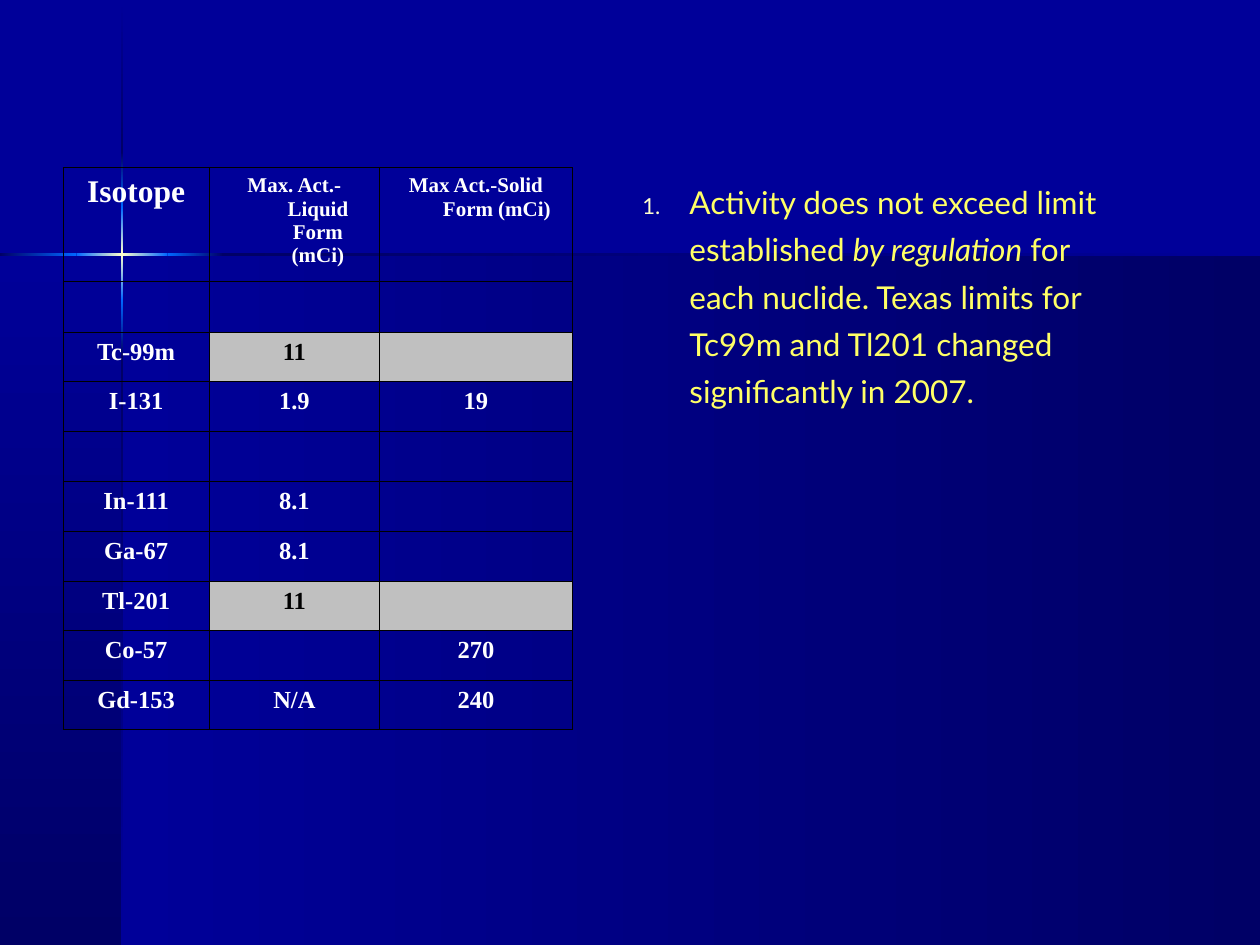
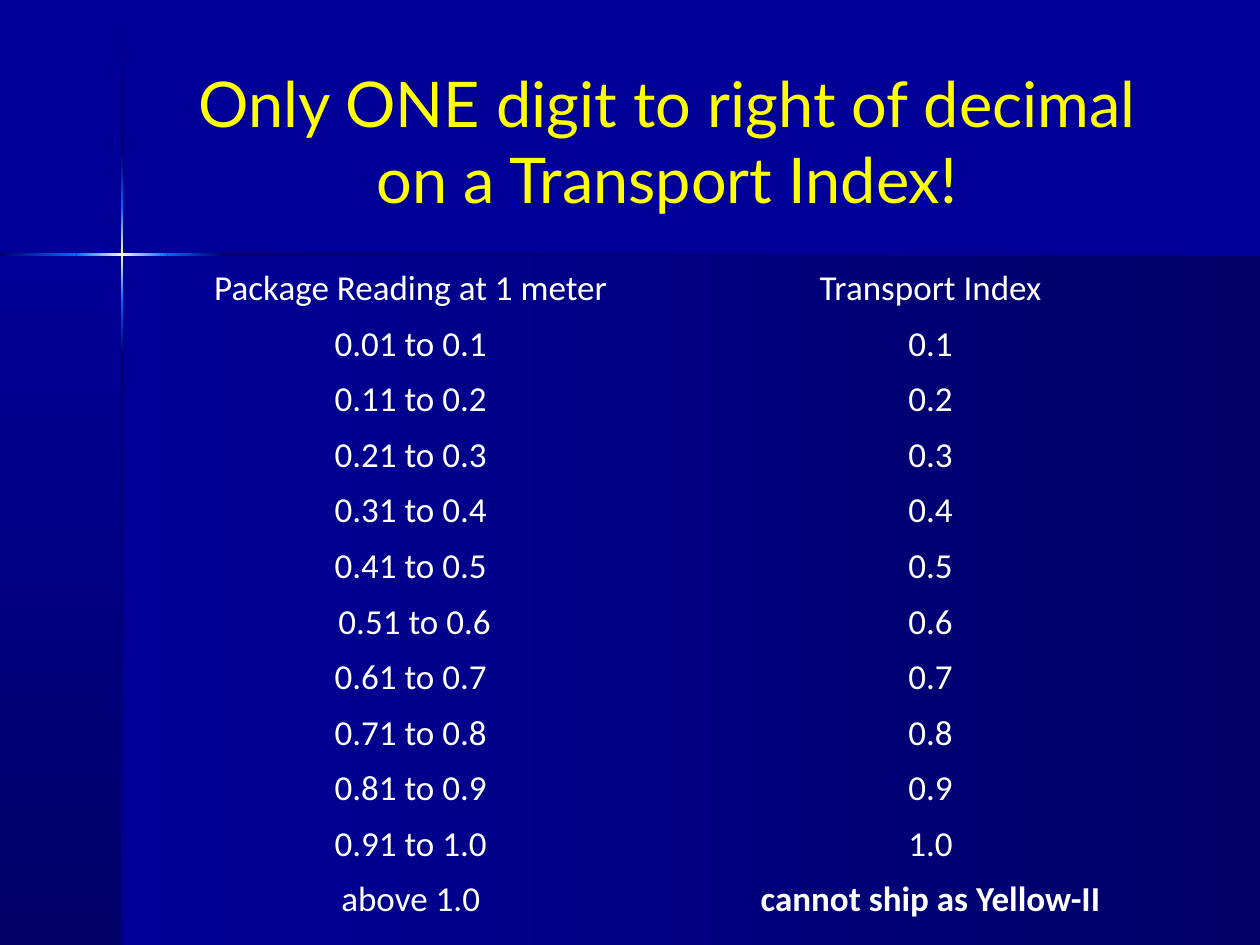
from dataclasses import dataclass
from itertools import pairwise

from lxml.etree import SubElement
from pptx import Presentation
from pptx.dml.color import RGBColor
from pptx.enum.shapes import MSO_SHAPE
from pptx.enum.text import MSO_ANCHOR, PP_ALIGN
from pptx.oxml import parse_xml
from pptx.oxml.ns import nsdecls, qn
from pptx.util import Cm, Pt

# Content
LIMITS = [
    ("Isotope", "Max. Act.-Liquid Form (mCi)", "Max Act.-Solid Form (mCi) "),
    ("", "", ""),
    ("Tc-99m", "11", ""),
    ("I-131", "1.9", "19"),
    ("", "", ""),
    ("In-111", "8.1", ""),
    ("Ga-67", "8.1", ""),
    ("Tl-201", "11", ""),
    ("Co-57", "", "270"),
    ("Gd-153", "N/A", "240"),
]
CHANGED = ("Tc-99m", "Tl-201")
JOINED = "Tc-99m"  # its two grey cells have no line between them
RULE = [
    ("Activity does not exceed limit established ", False),
    ("by regulation", True),
    (" for each nuclide. Texas limits for Tc99m and Tl201 changed "
     "significantly in 2007.", False),
]
TITLE = "Only ONE digit to right of decimal on a Transport Index!"
INDEX = [
    ("Package Reading at 1 meter", "Transport Index"),
    ("0.01 to 0.1", "0.1"),
    ("0.11 to 0.2", "0.2"),
    ("0.21 to 0.3", "0.3"),
    ("0.31 to 0.4", "0.4"),
    ("0.41 to 0.5", "0.5"),
    (" 0.51 to 0.6", "0.6"),
    ("0.61 to 0.7", "0.7"),
    ("0.71 to 0.8", "0.8"),
    ("0.81 to 0.9", "0.9"),
    ("0.91 to 1.0", "1.0"),
    ("above 1.0", "cannot ship as Yellow-II"),
]


@dataclass(frozen=True)
class Theme:
    navy: str = "000099"
    night: str = "000066"
    glow: str = "0066FF"
    spark: str = "FFFFCC"
    white: str = "FFFFFF"
    black: str = "000000"
    grey: str = "C0C0C0"
    title: str = "FFFF00"
    body: str = "FFFF66"
    sans: str = "Lato"
    serif: str = "Times New Roman"
    grid: str = "Calibri"
    head_size: int = 36
    body_size: int = 18
    first_size: int = 18
    label_size: int = 12
    cell_size: int = 14
    index_size: int = 20


T = Theme()
WIDE, HIGH = 25.4, 19.05
CROSS_X, CROSS_Y, RAY = 2.46, 5.13, 0.05
INDENT = 0.95
PLAIN = "{2D5ABB26-0587-4C30-8999-92F81FD0307C}"  # no style, no grid

# Each ray is cut at these points; a cut piece fades through its colours
FADES = [(T.navy, T.night), (T.night, T.glow), (T.glow, T.spark, T.glow),
         (T.glow, T.night), (T.night, T.navy)]
DOWN = [0.03, 3.07, 4.19, 6.05, 7.16, HIGH]
ACROSS = [0, 1.54, 3.38, 4.5, WIDE]


def style(run, font, size, color, bold=False, italic=False):
    run.font.name, run.font.size = font, Pt(size)
    run.font.bold, run.font.italic = bold, italic
    run.font.color.rgb = RGBColor.from_string(color)


def band(slide, box, colors, angle):
    shape = slide.shapes.add_shape(MSO_SHAPE.RECTANGLE, *map(Cm, box))
    shape.shadow.inherit = False
    shape.line.fill.background()
    step = 100000 // (len(colors) - 1)
    stops = "".join(f'<a:gs pos="{i * step}"><a:srgbClr val="{c}"/></a:gs>'
                    for i, c in enumerate(colors))
    grad = parse_xml(f'<a:gradFill {nsdecls("a")}><a:gsLst>{stops}</a:gsLst>'
                     f'<a:lin ang="{angle * 60000}" scaled="0"/></a:gradFill>')
    shape.element.spPr.find(qn("a:prstGeom")).addnext(grad)


def base(deck):
    """Add a slide with the shared panels and crossing rays."""
    slide = deck.slides.add_slide(deck.slide_layouts[6])
    fill = slide.background.fill
    fill.solid()
    fill.fore_color.rgb = RGBColor.from_string(T.navy)
    deep = (T.navy, T.night)
    tall = HIGH - CROSS_Y
    band(slide, (CROSS_X, CROSS_Y, WIDE - CROSS_X, tall), deep, 0)
    band(slide, (0, CROSS_Y, CROSS_X, tall), deep, 90)
    for (top, end), fade in zip(pairwise(DOWN), FADES):
        band(slide, (CROSS_X - RAY / 2, top, RAY, end - top), fade, 90)
    for (left, end), fade in zip(pairwise(ACROSS), FADES[1:]):
        band(slide, (left, CROSS_Y - RAY / 2, end - left, RAY), fade, 0)
    return slide


def textbox(slide, box):
    frame = slide.shapes.add_textbox(*map(Cm, box)).text_frame
    frame.word_wrap = True
    return frame


def hang(para):
    props = para._p.get_or_add_pPr()
    props.set("marL", str(Cm(INDENT)))
    props.set("indent", str(-Cm(INDENT)))
    return props


def border(cell, sides):
    props = cell._tc.get_or_add_tcPr()
    for spot, side in enumerate(sides):
        props.insert(spot, parse_xml(
            f'<a:ln{side} {nsdecls("a")} w="{Pt(0.45)}"><a:solidFill>'
            f'<a:srgbClr val="{T.black}"/></a:solidFill></a:ln{side}>'))


def grid(slide, spot, data, cols, rows, pad):
    """Add a plain table and yield each cell with its place."""
    frame = slide.shapes.add_table(
        len(data), len(cols), *map(Cm, (*spot, sum(cols), sum(rows))))
    table = frame.table
    table.first_row = table.horz_banding = False
    next(frame.element.iter(qn("a:tableStyleId"))).text = PLAIN
    for col, width in zip(table.columns, cols):
        col.width = Cm(width)
    for row, height in zip(table.rows, rows):
        row.height = Cm(height)
    for r, line in enumerate(data):
        for c, text in enumerate(line):
            cell = table.cell(r, c)
            cell.margin_left = cell.margin_right = Cm(pad)
            cell.margin_top = cell.margin_bottom = Cm(0.13)
            cell.text = text
            cell.fill.background()
            cell.text_frame.paragraphs[0].alignment = PP_ALIGN.CENTER
            yield r, c, cell


def limits(deck):
    slide = base(deck)

    # Isotope table
    rows = [2.29 if r == 0 else 1.0 if any(line) else 1.02
            for r, line in enumerate(LIMITS)]
    cols = (2.95, 3.43, 3.89)
    for r, c, cell in grid(slide, (1.27, 3.38), LIMITS, cols, rows, 0.18):
        name = LIMITS[r][0]
        grey = name in CHANGED and c > 0
        size = T.cell_size
        if r == 0:
            size = T.label_size if c else T.first_size
        if grey:
            cell.fill.solid()
            cell.fill.fore_color.rgb = RGBColor.from_string(T.grey)
        skip = {1: "R", 2: "L"}.get(c) if name == JOINED else None
        border(cell, [side for side in "LRTB" if side != skip])
        para = cell.text_frame.paragraphs[0]
        hang(para)
        for run in para.runs:
            style(run, T.serif, size, T.black if grey else T.white, bold=True)
        if not para.runs:
            SubElement(para._p, qn("a:endParaRPr"), sz=str(size * 100))

    # Numbered rule
    para = textbox(slide, (12.7, 3.38, 10.26, 11.43)).paragraphs[0]
    props = hang(para)
    tint = SubElement(props, qn("a:buClr"))
    SubElement(tint, qn("a:srgbClr"), val=T.spark)
    SubElement(props, qn("a:buSzPct"), val="70000")
    SubElement(props, qn("a:buFont"), typeface=T.sans)
    SubElement(props, qn("a:buAutoNum"), type="arabicPeriod")
    para.line_spacing = 1.25
    for text, italic in RULE:
        run = para.add_run()
        run.text = text
        style(run, T.sans, T.body_size, T.body, italic=italic)


def index(deck):
    slide = base(deck)

    # Title
    frame = textbox(slide, (2.97, 0.84, 20.96, 3.99))
    frame.text = TITLE
    frame.vertical_anchor = MSO_ANCHOR.MIDDLE
    para = frame.paragraphs[0]
    para.alignment = PP_ALIGN.CENTER
    style(para.runs[0], T.sans, T.head_size, T.title)

    # Reading and index table
    rows = [1.55] + [1.12] * (len(INDEX) - 1)
    last = (len(INDEX) - 1, 1)
    for r, c, cell in grid(slide, (2.97, 4.83), INDEX, (10.62, 10.34), rows, 0.03):
        cell.vertical_anchor = MSO_ANCHOR.BOTTOM
        run = cell.text_frame.paragraphs[0].runs[0]
        style(run, T.grid, T.index_size, T.white, bold=(r, c) == last)


def main():
    deck = Presentation()
    deck.slide_width, deck.slide_height = Cm(WIDE), Cm(HIGH)
    limits(deck)
    index(deck)
    deck.save("out.pptx")


if __name__ == "__main__":
    main()
